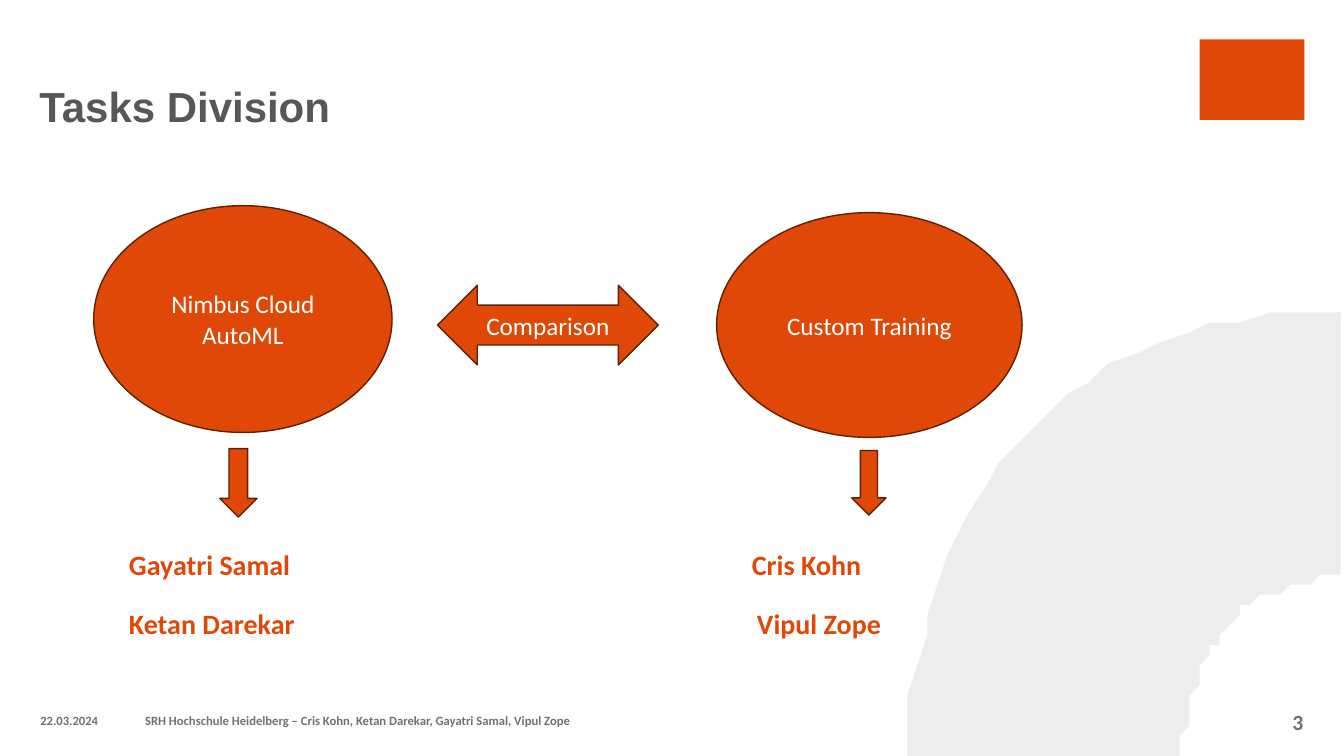
from pptx import Presentation
from pptx import util as u
from pptx.dml.color import RGBColor
from pptx.enum import shapes, text

CELL = u.Inches(0.1)  # the page is a grid of square cells
COLUMNS, ROWS = 133.33, 75
ORANGE, DARK_ORANGE = "DF4807", "622003"
GREY, TITLE_GREY, PALE = "6D7373", "575756", "EEEDEB"
WHITE = "FFFFFF"
LEFT, MIDDLE = text.PP_ALIGN.LEFT, text.MSO_ANCHOR.MIDDLE


def cells(count):
    return u.Emu(round(count * CELL))


def color(hex_string):
    return RGBColor.from_string(hex_string)


def curve(start, first, second, end, steps=24):
    """Points along a cubic curve, without its start."""
    points = []
    for step in range(1, steps + 1):
        t = step / steps
        weights = ((1 - t) ** 3, 3 * t * (1 - t) ** 2, 3 * t * t * (1 - t), t ** 3)
        controls = (start, first, second, end)
        points.append(tuple(sum(w * point[axis] for w, point in zip(weights, controls))
                            for axis in (0, 1)))
    return points


class Page:
    """One slide and its style; every length is in grid cells."""

    def __init__(self, deck):
        self.slide = deck.slides.add_slide(deck.slide_layouts[6])
        self.shapes = self.slide.shapes
        self.slide.background.fill.solid()
        self.slide.background.fill.fore_color.rgb = color(WHITE)

    def set_words(self, frame, words, size, ink, bold=False, align=LEFT,
                  anchor=MIDDLE, font="Calibri"):
        frame.text = words
        frame.word_wrap = True
        frame.vertical_anchor = anchor
        para = frame.paragraphs[0]
        para.alignment = align
        for span in para.runs:
            span.font.name = font
            span.font.size = u.Pt(size)
            span.font.bold = bold
            span.font.color.rgb = color(ink)

    def label(self, place, words, size, ink, **style):
        box = self.shapes.add_textbox(*map(cells, place))
        frame = box.text_frame
        frame.margin_left = frame.margin_right = 0
        frame.margin_top = frame.margin_bottom = 0
        self.set_words(frame, words, size, ink, bold=True, **style)

    def paint(self, shape, fill, line=None):
        shape.shadow.inherit = False
        shape.fill.solid()
        shape.fill.fore_color.rgb = color(fill)
        if line:
            shape.line.color.rgb = color(line)
            shape.line.width = u.Pt(1)
        else:
            shape.line.fill.background()

    def block(self, kind, place, words="", line=DARK_ORANGE):
        shape = self.shapes.add_shape(kind, *map(cells, place))
        self.paint(shape, ORANGE, line)
        if words:
            self.set_words(shape.text_frame, words, 18, WHITE,
                           align=text.PP_ALIGN.CENTER)

    def outline(self, points, fill):
        builder = self.shapes.build_freeform(*points[0], scale=CELL)
        builder.add_line_segments(points[1:], close=True)
        self.paint(builder.convert_to_shape(), fill)


def main():
    deck = Presentation()
    deck.slide_width, deck.slide_height = cells(COLUMNS), cells(ROWS)
    page = Page(deck)
    kinds = shapes.MSO_SHAPE

    page.block(kinds.RECTANGLE, (119, 3.9, 10.4, 8), line=None)

    inner = curve((131.9, 57), (122.4, 58.8), (118.7, 63.8), (117.4, 73))
    outer = curve((90, 72.1), (92.9, 47.3), (106.2, 32), (132.2, 30.7))
    page.outline([(COLUMNS, 30.6), (COLUMNS, 56.8), (131.9, 57), *inner,
                  (117.1, ROWS), (89.7, ROWS), (90, 72.1), *outer], PALE)

    page.label((3.9, 3.9, 100.1, 9.1), "Tasks Division", 30, TITLE_GREY,
               anchor=text.MSO_ANCHOR.BOTTOM, font="Arial")

    page.block(kinds.OVAL, (9.3, 20.4, 29.6, 22.5), "Nimbus Cloud AutoML")
    page.block(kinds.OVAL, (71.1, 21.1, 30.3, 22.3), "Custom Training")
    page.block(kinds.DOWN_ARROW, (21.8, 44.5, 3.7, 6.8))
    page.block(kinds.DOWN_ARROW, (84.5, 44.7, 3.4, 6.4))
    page.block(kinds.LEFT_RIGHT_ARROW, (43.4, 28.3, 21.9, 7.9), "Comparison")

    members = [[(12.8, "Gayatri Samal"), (74.6, "Cris Kohn")],
               [(12.8, "Ketan Darekar"), (75.1, "Vipul Zope")]]
    for row, pair in enumerate(members):
        for left, name in pair:
            page.label((left, 54 + 5.85 * row, 25, 4), name, 20, ORANGE)

    page.label((4, 69.5, 9.6, 4), "22.03.2024", 9, GREY)
    page.label((14.4, 69.5, 71, 4),
               "SRH Hochschule Heidelberg – Cris Kohn, Ketan Darekar, "
               "Gayatri Samal, Vipul Zope", 9, GREY)
    page.label((121.9, 69.6, 7.4, 4), "3", 15.5, GREY, align=text.PP_ALIGN.RIGHT)

    deck.save("out.pptx")


if __name__ == "__main__":
    main()
